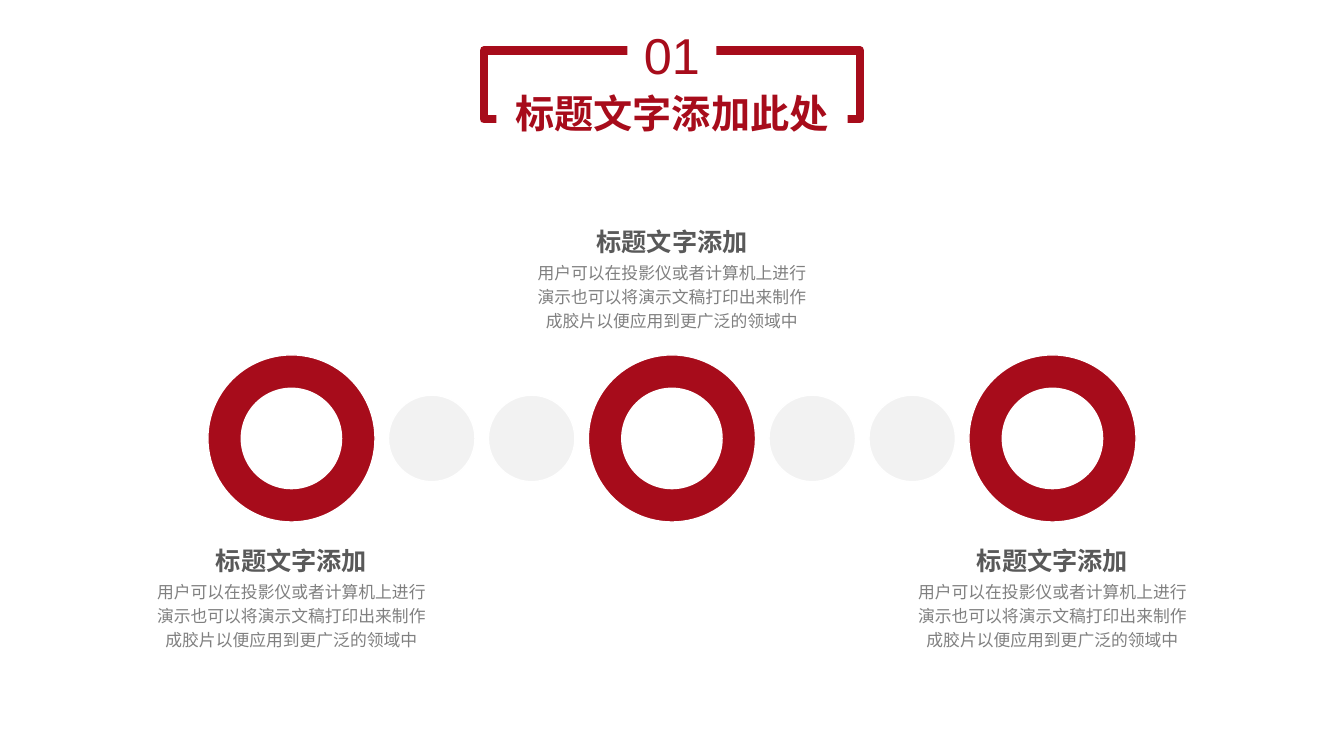
from dataclasses import dataclass
from itertools import accumulate

from lxml.etree import SubElement
from pptx import Presentation
from pptx.dml.color import RGBColor
from pptx.enum.shapes import MSO_SHAPE as Preset
from pptx.enum.text import MSO_ANCHOR as Anchor
from pptx.enum.text import MSO_AUTO_SIZE as AutoSize
from pptx.enum.text import PP_ALIGN as Align
from pptx.oxml.ns import qn
from pptx.shapes.autoshape import Shape
from pptx.slide import Slide
from pptx.util import Emu, Inches, Pt

RED = RGBColor(0xA7, 0x0C, 0x1B)
WHITE = RGBColor(0xFF, 0xFF, 0xFF)
PALE = RGBColor(0xF2, 0xF2, 0xF2)
DARK = RGBColor(0x59, 0x59, 0x59)
GREY = RGBColor(0x80, 0x80, 0x80)

CJK_FONT = "Noto Sans CJK SC"
COLUMNS, ROWS = 160, 90
SLIDE_HEIGHT = Inches(7.5)
CELL = SLIDE_HEIGHT / ROWS
CENTER = COLUMNS / 2

HEADING = "标题文字添加"
BODY = "用户可以在投影仪或者计算机上进行演示也可以将演示文稿打印出来制作成胶片以便应用到更广泛的领域中"


@dataclass(frozen=True)
class Area:
    """A box in grid cells, placed by its middle column and top row."""
    center: float
    top: float
    width: float
    height: float

    def emu(self) -> tuple[Emu, ...]:
        left = self.center - self.width / 2
        cells = (left, self.top, self.width, self.height)
        return tuple(Emu(round(cell * CELL)) for cell in cells)


@dataclass(frozen=True)
class TextStyle:
    size: float
    color: RGBColor
    name: str = CJK_FONT
    bold: bool = False
    spacing: float = 1.0
    anchor: Anchor = Anchor.TOP


@dataclass(frozen=True)
class Disc:
    preset: Preset
    size: float
    color: RGBColor


NUMBER_STYLE = TextStyle(36, RED, "Arial", anchor=Anchor.MIDDLE)
TITLE_STYLE = TextStyle(28, RED, "Arial", bold=True, anchor=Anchor.MIDDLE)
HEADING_STYLE = TextStyle(18, DARK, bold=True, spacing=1.2)
BODY_STYLE = TextStyle(12, GREY, spacing=1.2)

RING = Disc(Preset.DONUT, 19.9, RED)
DOT = Disc(Preset.OVAL, 10.3, PALE)
CHAIN = [RING, DOT, DOT, RING, DOT, DOT, RING]
CHAIN_GAP = 1.6
CHAIN_MIDDLE = 52.2
CAPTION_TOPS = [63.6, 25.6, 63.6]
BODY_DROP = 4.6


def write(box: Shape, text: str, style: TextStyle) -> None:
    frame = box.text_frame
    frame_format = {
        "word_wrap": True,
        "auto_size": AutoSize.NONE,
        "vertical_anchor": style.anchor,
        "margin_left": Inches(0.1),
        "margin_right": Inches(0.1),
        "margin_top": Inches(0.05),
        "margin_bottom": Inches(0.05),
    }
    for key, value in frame_format.items():
        setattr(frame, key, value)
    para = frame.paragraphs[0]
    para.alignment = Align.CENTER
    para.line_spacing = style.spacing
    span = para.add_run()
    span.text = text
    font_format = {"size": Pt(style.size), "name": style.name, "bold": style.bold}
    for key, value in font_format.items():
        setattr(span.font, key, value)
    span.font.color.rgb = style.color
    SubElement(span.font._element, qn("a:ea"), typeface=CJK_FONT)


def paint(box: Shape, color: RGBColor) -> None:
    box.fill.solid()
    box.fill.fore_color.rgb = color


def add_preset(page: Slide, preset: Preset, area: Area) -> Shape:
    shape = page.shapes.add_shape(preset, *area.emu())
    shape.shadow.inherit = False
    return shape


def add_header(page: Slide) -> None:
    border = add_preset(page, Preset.RECTANGLE, Area(CENTER, 6, 44.8, 8.2))
    border.fill.background()
    border.line.color.rgb = RED
    border.line.width = Pt(6)

    number = add_preset(page, Preset.RECTANGLE, Area(CENTER, 2.2, 10.6, 8.5))
    paint(number, WHITE)
    number.line.fill.background()
    write(number, "01", NUMBER_STYLE)

    title = page.shapes.title
    title.left, title.top, title.width, title.height = Area(CENTER, 10, 41.8, 6.8).emu()
    paint(title, WHITE)
    write(title, "标题文字添加此处", TITLE_STYLE)
    number.element.addnext(title.element)


def add_chain(page: Slide) -> list[float]:
    """Draw the discs in a centred row and return the rings' middle columns."""
    steps = [disc.size + CHAIN_GAP for disc in CHAIN]
    start = CENTER - (sum(steps) - CHAIN_GAP) / 2
    ring_centers = []
    for disc, left in zip(CHAIN, accumulate(steps, initial=start)):
        center = left + disc.size / 2
        top = CHAIN_MIDDLE - disc.size / 2
        shape = add_preset(page, disc.preset, Area(center, top, disc.size, disc.size))
        paint(shape, disc.color)
        shape.line.color.rgb = WHITE
        shape.line.width = Pt(1)
        if disc is RING:
            shape.adjustments[0] = 0.2
            ring_centers.append(center)
    return ring_centers


def add_caption(page: Slide, center: float, top: float) -> None:
    parts = [
        (BODY, BODY_STYLE, Area(center, top + BODY_DROP, 34.8, 10)),
        (HEADING, HEADING_STYLE, Area(center, top, 29.4, 5.2)),
    ]
    for text, style, area in parts:
        write(page.shapes.add_textbox(*area.emu()), text, style)


def main() -> None:
    deck = Presentation()
    deck.slide_width = Emu(round(COLUMNS * CELL))
    deck.slide_height = SLIDE_HEIGHT
    page = deck.slides.add_slide(deck.slide_layouts.get_by_name("Title Only"))
    add_header(page)
    for center, top in zip(add_chain(page), CAPTION_TOPS):
        add_caption(page, center, top)
    deck.save("out.pptx")


if __name__ == "__main__":
    main()
